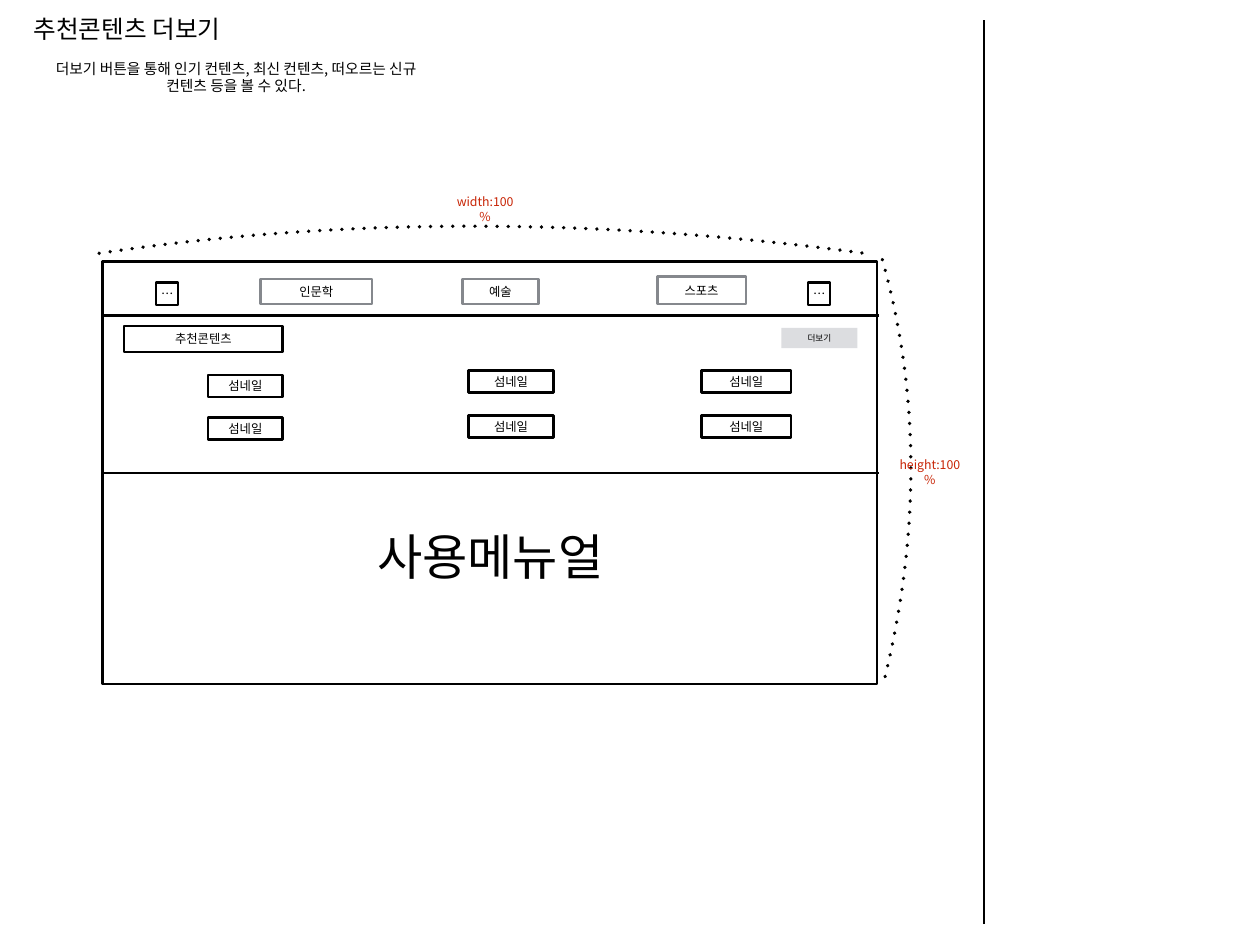
"""Wireframe slide for the recommended-content "more" screen."""
from dataclasses import dataclass

import lxml.etree
import pptx
import pptx.dml.color
import pptx.enum.shapes
import pptx.enum.text
import pptx.oxml.ns
import pptx.util

FONT = "Noto Sans CJK KR"
BLACK, GREY, PALE, RED = "000000", "85888D", "DCDDE0", "C82506"
INSET = 4.32
CURVE_STEPS = 48
Point = tuple[float, float]


@dataclass(frozen=True)
class Box:
    text: str
    left: float
    top: float
    width: float
    height: float
    line: str | None = BLACK
    fill: str | None = None
    size: float = 10


@dataclass(frozen=True)
class Label:
    text: str
    left: float
    top: float
    width: float
    height: float
    size: float
    color: str = BLACK


@dataclass(frozen=True)
class Rule:
    start: Point
    end: Point


@dataclass(frozen=True)
class Curve:
    start: Point
    control1: Point
    control2: Point
    end: Point

    def at(self, t: float) -> Point:
        u = 1 - t
        weights = (u**3, 3 * u * u * t, 3 * u * t * t, t**3)
        points = (self.start, self.control1, self.control2, self.end)
        x, y = (sum(w * p[i] for w, p in zip(weights, points)) for i in (0, 1))
        return x, y


TITLE = Label("추천콘텐츠 더보기", 15.1, 7.2, 176.4, 32.4, 20)
FRAME = Box("", 83.5, 212.4, 629.3, 343.4)
RULES = [
    Rule((799.9, 751), (799.9, 16.6)),
    Rule((83.5, 256.3), (714.2, 256.3)),
    Rule((83.5, 384.5), (714.2, 384.5)),
]
CURVES = [
    Curve((80.6, 205.9), (277.9, 176.4), (487.4, 176.4), (707.8, 206.6)),
    Curve((717.1, 211), (747.4, 319), (748.1, 432.7), (718.6, 553)),
]
LABELS = [
    Label("width:100%", 363.6, 159.8, 61.2, 20.2, 10, RED),
    Label("height:100%", 723.6, 373.7, 64.1, 20.2, 10, RED),
    Label("사용메뉴얼", 161.3, 423.4, 474.5, 56.9, 40),
    Label("더보기 버튼을 통해 인기 컨텐츠, 최신 컨텐츠, 떠오르는 신규 컨텐츠 등을 볼 수 있다.",
          27.4, 43.9, 329, 37.4, 12),
]
BOXES = [
    Box("인문학", 211.7, 226.8, 90.7, 20.2, GREY),
    Box("예술", 375.8, 226.8, 61.9, 20.2, GREY),
    Box("스포츠", 534.2, 224.6, 72, 22.3, GREY),
    *(Box("…", left, 229.7, 18, 18) for left in (126.7, 656.6)),
    Box("추천콘텐츠", 100.8, 265, 128.9, 20.9),
    *(Box("섬네일", left, top, width, 18)
      for left, width, tops in ((169.2, 60.5, (304.6, 339.1)),
                                (380.9, 68.8, (301, 337.7)),
                                (570.2, 72.7, (301, 337.7)))
      for top in tops),
    Box("더보기", 635, 266.4, 61.9, 16.6, None, PALE, 7),
]


def rgb(color: str) -> pptx.dml.color.RGBColor:
    return pptx.dml.color.RGBColor.from_string(color)


def lengths(*values: float) -> list[pptx.util.Length]:
    return [pptx.util.Pt(v) for v in values]


def write(sp, text: str, size: float, color: str = BLACK) -> None:
    tf = sp.text_frame
    tf.word_wrap = True
    tf.auto_size = pptx.enum.text.MSO_AUTO_SIZE.NONE
    tf.vertical_anchor = pptx.enum.text.MSO_ANCHOR.MIDDLE
    tf.margin_left = tf.margin_top = pptx.util.Pt(INSET)
    tf.margin_right = tf.margin_bottom = pptx.util.Pt(INSET)
    p = tf.paragraphs[0]
    p.text = text
    p.alignment = pptx.enum.text.PP_ALIGN.CENTER
    p.font.size = pptx.util.Pt(size)
    p.font.color.rgb = rgb(color)
    p.font.name = FONT
    latin = p._p.pPr.find(".//" + pptx.oxml.ns.qn("a:latin"))
    ea = lxml.etree.Element(pptx.oxml.ns.qn("a:ea"), typeface=FONT)
    latin.addnext(ea)


def stroke(line, color: str, width: float) -> None:
    line.color.rgb = rgb(color)
    line.width = pptx.util.Pt(width)


def draw_box(s, box: Box) -> None:
    sp = s.shapes.add_shape(
        pptx.enum.shapes.MSO_SHAPE.RECTANGLE,
        *lengths(box.left, box.top, box.width, box.height))
    sp.shadow.inherit = False
    if box.fill:
        sp.fill.solid()
        sp.fill.fore_color.rgb = rgb(box.fill)
    else:
        sp.fill.background()
    if box.line:
        stroke(sp.line, box.line, 2)
    else:
        sp.line.fill.background()
    if box.text:
        write(sp, box.text, box.size)


def draw_label(s, label: Label) -> None:
    sp = s.shapes.add_textbox(
        *lengths(label.left, label.top, label.width, label.height))
    write(sp, label.text, label.size, label.color)


def draw_rule(s, rule: Rule) -> None:
    sp = s.shapes.add_connector(pptx.enum.shapes.MSO_CONNECTOR.STRAIGHT,
                                *lengths(*rule.start, *rule.end))
    stroke(sp.line, BLACK, 2)
    lxml.etree.SubElement(sp._element.spPr, pptx.oxml.ns.qn("a:effectLst"))


def draw_curve(s, curve: Curve) -> None:
    points = [lengths(*curve.at(i / CURVE_STEPS)) for i in range(CURVE_STEPS + 1)]
    builder = s.shapes.build_freeform(*points[0])
    builder.add_line_segments(points[1:], close=False)
    sp = builder.convert_to_shape()
    sp.shadow.inherit = False
    sp.fill.background()
    stroke(sp.line, BLACK, 3)
    ln = sp._element.spPr.find(pptx.oxml.ns.qn("a:ln"))
    ln.set("cap", "rnd")
    dash = lxml.etree.SubElement(ln, pptx.oxml.ns.qn("a:custDash"))
    lxml.etree.SubElement(dash, pptx.oxml.ns.qn("a:ds"), d="100000", sp="200000")


def draw_title(s, title: Label) -> None:
    sp = s.shapes.title
    sp.left, sp.top, sp.width, sp.height = lengths(
        title.left, title.top, title.width, title.height)
    write(sp, title.text, title.size, title.color)


def main() -> None:
    prs = pptx.Presentation()
    prs.slide_width, prs.slide_height = lengths(1024, 768)
    s = prs.slides.add_slide(prs.slide_layouts.get_by_name("Title Only"))
    draw_title(s, TITLE)
    draw_box(s, FRAME)
    for rule in RULES:
        draw_rule(s, rule)
    for curve in CURVES:
        draw_curve(s, curve)
    for label in LABELS:
        draw_label(s, label)
    for box in BOXES:
        draw_box(s, box)
    prs.save("out.pptx")


if __name__ == "__main__":
    main()
